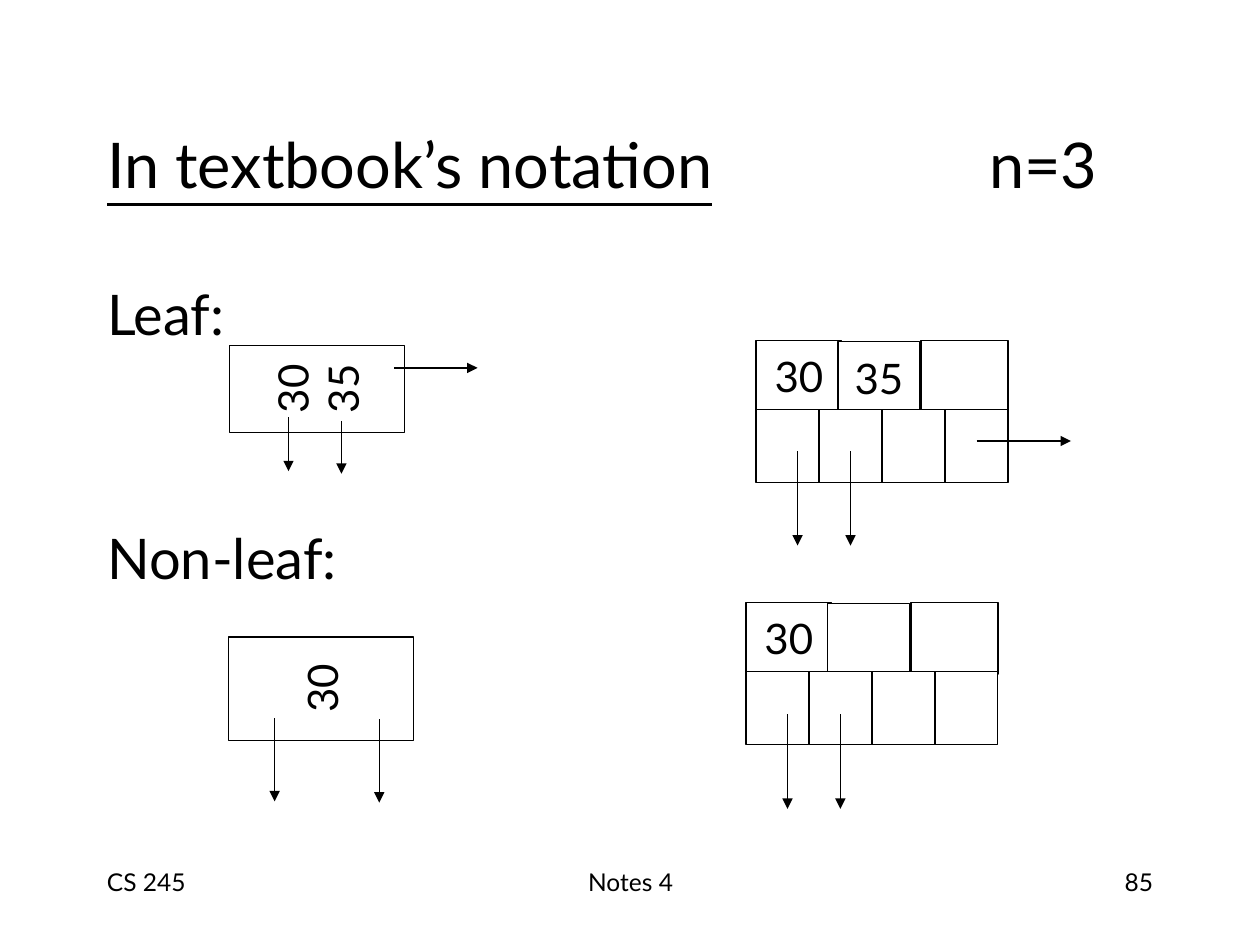
from lxml import etree
from pptx import Presentation
from pptx.dml.color import RGBColor
from pptx.enum import shapes, text
from pptx.oxml import ns
from pptx.util import Inches, Pt

BLACK = RGBColor(0, 0, 0)
WHITE = RGBColor(255, 255, 255)
FONT = "Lato"
LEFT, CENTER, RIGHT = text.PP_ALIGN.LEFT, text.PP_ALIGN.CENTER, text.PP_ALIGN.RIGHT


def write(paragraph, content, size, align=LEFT, underline=False):
    """Add a formatted run to a paragraph."""
    paragraph.alignment = align
    run = paragraph.add_run()
    run.text = content
    run.font.name = FONT
    run.font.size = Pt(size)
    run.font.color.rgb = BLACK
    run.font.underline = underline


def add_box(container, left, top, width, height, lines=(), rotation=0):
    """Draw an outlined node box with centred lines of text."""
    box = container.add_shape(shapes.MSO_SHAPE.RECTANGLE, Inches(left), Inches(top),
                              Inches(width), Inches(height))
    box.shadow.inherit = False
    box.rotation = rotation
    box.fill.solid()
    box.fill.fore_color.rgb = WHITE
    box.line.color.rgb = BLACK
    box.line.width = Pt(0.75)
    frame = box.text_frame
    frame.word_wrap = False
    frame.vertical_anchor = text.MSO_ANCHOR.MIDDLE
    for index, line in enumerate(lines):
        paragraph = frame.add_paragraph() if index else frame.paragraphs[0]
        write(paragraph, line, 24, align=CENTER)


presentation = Presentation()
presentation.slide_width, presentation.slide_height = Inches(10), Inches(7.5)
slide = presentation.slides.add_slide(presentation.slide_layouts[1])

# Footer line
for content, left, width, align in (("CS 245", 0.75, 2.08, LEFT),
                                    ("Notes 4", 3.42, 3.17, CENTER),
                                    ("85", 7.17, 2.08, RIGHT)):
    footer = slide.shapes.add_textbox(Inches(left), Inches(6.83), Inches(width), Inches(0.5))
    footer.text_frame.word_wrap = True
    write(footer.text_frame.paragraphs[0], content, 14, align=align)

# Title, with the node size at a tab stop
title = slide.shapes.title
title.left, title.top, title.width, title.height = (
    Inches(0.75), Inches(0.67), Inches(8.5), Inches(1.25))
title.text_frame.auto_size = text.MSO_AUTO_SIZE.NONE
title.text_frame.vertical_anchor = text.MSO_ANCHOR.MIDDLE
paragraph = title.text_frame.paragraphs[0]
tabs = etree.SubElement(paragraph._p.get_or_add_pPr(), ns.qn("a:tabLst"))
etree.SubElement(tabs, ns.qn("a:tab"), pos=str(Inches(7)), algn="l")
write(paragraph, "In textbook’s notation", 36, underline=True)
write(paragraph, "\tn=3", 36)

# Section labels
body = slide.placeholders[1]
body.left, body.top, body.width, body.height = (
    Inches(0.75), Inches(2.17), Inches(8.5), Inches(4.5))
frame = body.text_frame
frame.auto_size = text.MSO_AUTO_SIZE.NONE
for paragraph, content, space in ((frame.paragraphs[0], "Leaf:", 0),
                                  (frame.add_paragraph(), "Non-leaf:", 101)):
    properties = paragraph._p.get_or_add_pPr()
    properties.set("marL", "0")
    properties.set("indent", "0")
    etree.SubElement(properties, ns.qn("a:buNone"))
    paragraph.space_before = Pt(space)
    write(paragraph, content, 32)

# Compact nodes, turned on their side
add_box(slide.shapes, 2.17, 2.39, 0.69, 1.39, lines=("30", "35"), rotation=270)
add_box(slide.shapes, 2.14, 4.73, 0.82, 1.47, lines=("30",), rotation=270)

# Textbook nodes: three keys above four pointers
for left, top, keys in ((6, 2.7, ("30", "35", "")), (5.92, 4.78, ("30", "", ""))):
    key_cells = ((0, 0, 0.68), (0.65, 0.01, 0.65), (1.31, 0, 0.69))
    for key, (across, down, width) in zip(keys, key_cells):
        add_box(slide.shapes, left + across, top + down, width, 0.57,
                lines=(key,) if key else ())
    pointers = slide.shapes.add_group_shape()
    for column in range(4):
        add_box(pointers.shapes, left + 0.5 * column, top + 0.55, 0.5, 0.58)

# Pointer arrows: start x, start y, run across, run down
arrows = (
    (3.13, 2.92, 0.66, 0), (2.29, 3.31, 0, 0.43), (2.71, 3.34, 0, 0.42),
    (2.18, 5.7, 0, 0.66), (3.01, 5.71, 0, 0.66),
    (6.33, 3.58, 0, 0.75), (6.75, 3.58, 0, 0.75), (7.75, 3.5, 0.75, 0),
    (6.25, 5.67, 0, 0.75), (6.67, 5.67, 0, 0.75),
)
for x, y, across, down in arrows:
    arrow = slide.shapes.add_connector(shapes.MSO_CONNECTOR.STRAIGHT, Inches(x), Inches(y),
                                       Inches(x + across), Inches(y + down))
    arrow.line.color.rgb = BLACK
    arrow.line.width = Pt(0.75)
    etree.SubElement(arrow.line._get_or_add_ln(), ns.qn("a:tailEnd"), type="triangle")
    etree.SubElement(arrow._element.spPr, ns.qn("a:effectLst"))

presentation.save("out.pptx")
